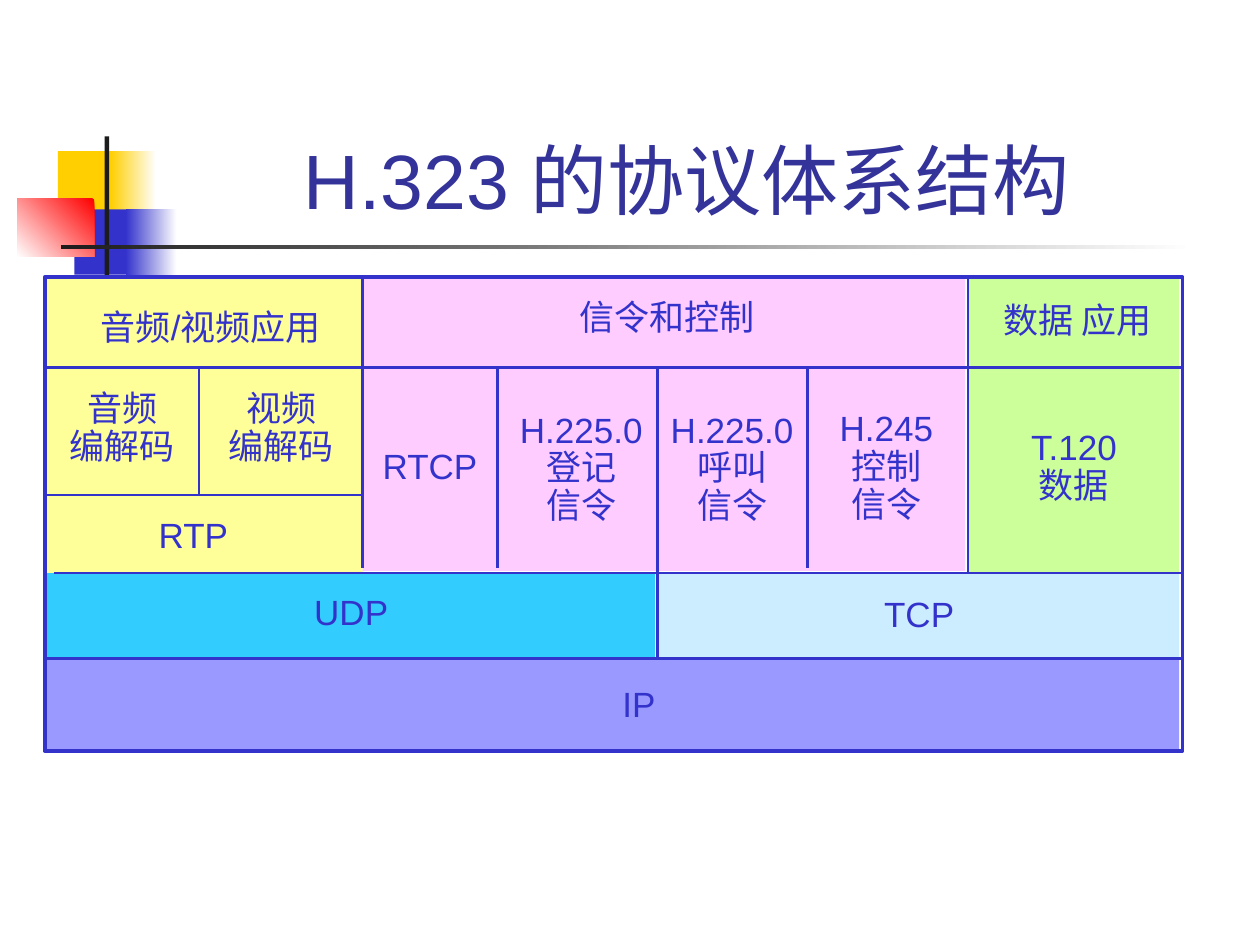
"""Build the H.323 protocol architecture slide."""
from lxml import etree
from pptx import Presentation
from pptx.dml.color import RGBColor
from pptx.enum import shapes, text
from pptx.oxml import ns
from pptx.util import Cm, Pt

WHITE = RGBColor(0xFF, 0xFF, 0xFF)
BLACK = RGBColor(0x1C, 0x1C, 0x1C)
GOLD = RGBColor(0xFF, 0xCF, 0x01)
RED = RGBColor(0xFF, 0x00, 0x00)
BLUE = RGBColor(0x33, 0x33, 0xCC)
NAVY = RGBColor(0x33, 0x33, 0x99)
PERIWINKLE = RGBColor(0x99, 0x99, 0xFF)
PALE_BLUE = RGBColor(0xCC, 0xEC, 0xFF)
SKY = RGBColor(0x33, 0xCC, 0xFF)
YELLOW = RGBColor(0xFF, 0xFF, 0x99)
GREEN = RGBColor(0xCC, 0xFF, 0x99)
PINK = RGBColor(0xFF, 0xCC, 0xFF)

presentation = Presentation()
presentation.slide_width, presentation.slide_height = Cm(25.4), Cm(19.05)
slide = presentation.slides.add_slide(presentation.slide_layouts[6])


def add_rectangle(left, top, width, height, color=None, fade_angle=None):
    shape = slide.shapes.add_shape(
        shapes.MSO_SHAPE.RECTANGLE, Cm(left), Cm(top), Cm(width), Cm(height))
    shape.shadow.inherit = False
    shape.line.fill.background()
    if color is None:
        shape.fill.background()
    elif fade_angle is None:
        shape.fill.solid()
        shape.fill.fore_color.rgb = color
    else:
        shape.fill.gradient()
        shape.fill.gradient_angle = fade_angle
        for stop, stop_color in zip(shape.fill.gradient_stops, (color, WHITE)):
            stop.color.rgb = stop_color
    return shape


def add_text(content, left, top, width, height, size, color):
    box = slide.shapes.add_textbox(Cm(left), Cm(top), Cm(width), Cm(height))
    frame = box.text_frame
    frame.text = content
    for paragraph in frame.paragraphs:
        paragraph.alignment = text.PP_ALIGN.CENTER
        if len(frame.paragraphs) > 1:
            paragraph.line_spacing = 0.9
        for run in paragraph.runs:
            run.font.name = "Arial"
            run.font.size = Pt(size)
            run.font.color.rgb = color
    return frame


for ornament in (
    (1.17, 3.05, 1.22, 1.32, GOLD),
    (2.23, 3.05, 0.92, 1.32, GOLD, 0),
    (1.5, 4.22, 1.17, 1.32, BLUE),
    (2.54, 4.22, 1.02, 1.32, BLUE, 0),
    (0.35, 4.01, 1.55, 1.17, RED, 225),
    (2.11, 2.75, 0.09, 2.92, BLACK),
    (1.23, 4.94, 22.86, 0.09, BLACK, 0),
):
    add_rectangle(*ornament)

left, codec, signalling, rtcp, call, h245, data, right = (
    0.9, 4.01, 7.31, 10.03, 13.26, 16.28, 19.51, 23.84)
top, layers, rtp, transport, network, bottom = (
    5.59, 7.41, 9.98, 11.55, 13.28, 15.14)
inner_right = 23.77
column_end = 11.46

for x1, y1, x2, y2, color in (
    (left, network, inner_right, bottom, PERIWINKLE),
    (call, transport, inner_right, network, PALE_BLUE),
    (left, transport, call - 0.05, network, SKY),
    (left, top, signalling, transport, YELLOW),
    (data, top, inner_right, transport, GREEN),
    (signalling, top, data - 0.05, column_end + 0.05, PINK),
):
    add_rectangle(x1, y1, x2 - x1, y2 - y1, color)

title = add_text("H.323 的协议体系结构 ", 3.2, 0.6, 21.64, 4.06, 44, NAVY)
title.word_wrap = True
title.vertical_anchor = text.MSO_ANCHOR.BOTTOM

frame_outline = add_rectangle(left, top, right - left, bottom - top)
frame_outline.line.color.rgb = BLUE
frame_outline.line.width = Pt(2.25)

for x1, y1, x2, y2 in (
    (left, layers, right, layers),
    (left, rtp, signalling, rtp),
    (left + 0.18, transport, right, transport),
    (left, network, right, network),
    (codec, layers, codec, rtp),
    (signalling, top, signalling, column_end),
    (rtcp, layers, rtcp, column_end),
    (call, layers, call, network),
    (h245, layers, h245, column_end),
    (data, top, data, transport),
):
    divider = slide.shapes.add_connector(
        shapes.MSO_CONNECTOR.STRAIGHT, Cm(x1), Cm(y1), Cm(x2), Cm(y2))
    divider.line.color.rgb = BLUE
    divider.line.width = Pt(1.5)
    etree.SubElement(divider.element.spPr, ns.qn("a:effectLst"))

LABEL_HEIGHTS = {1: 1.12, 2: 1.78, 3: 2.54}
for content, center, label_top, width in (
    ("音频/视频应用", 4.25, 6.03, 6),
    ("信令和控制", 13.45, 5.84, 4.4),
    ("数据 应用", 21.73, 5.89, 4),
    ("音频\n编解码", 2.47, 7.77, 2.9),
    ("视频\n编解码", 5.67, 7.77, 2.9),
    ("RTCP", 8.67, 8.83, 2.6),
    ("H.225.0\n登记\n信令", 11.72, 8.2, 3.2),
    ("H.225.0\n呼叫\n信令", 14.76, 8.2, 3.2),
    ("H.245\n控制\n信令", 17.87, 8.17, 2.7),
    ("T.120\n数据", 21.65, 8.55, 2.6),
    ("RTP", 3.9, 10.23, 2.2),
    ("UDP", 7.08, 11.78, 2.3),
    ("TCP", 18.53, 11.82, 2.2),
    ("IP", 12.88, 13.63, 1.5),
):
    height = LABEL_HEIGHTS[content.count("\n") + 1]
    label = add_text(content, center - width / 2, label_top, width, height, 20, BLUE)
    label.word_wrap = False
    label.auto_size = text.MSO_AUTO_SIZE.SHAPE_TO_FIT_TEXT

presentation.save("out.pptx")
